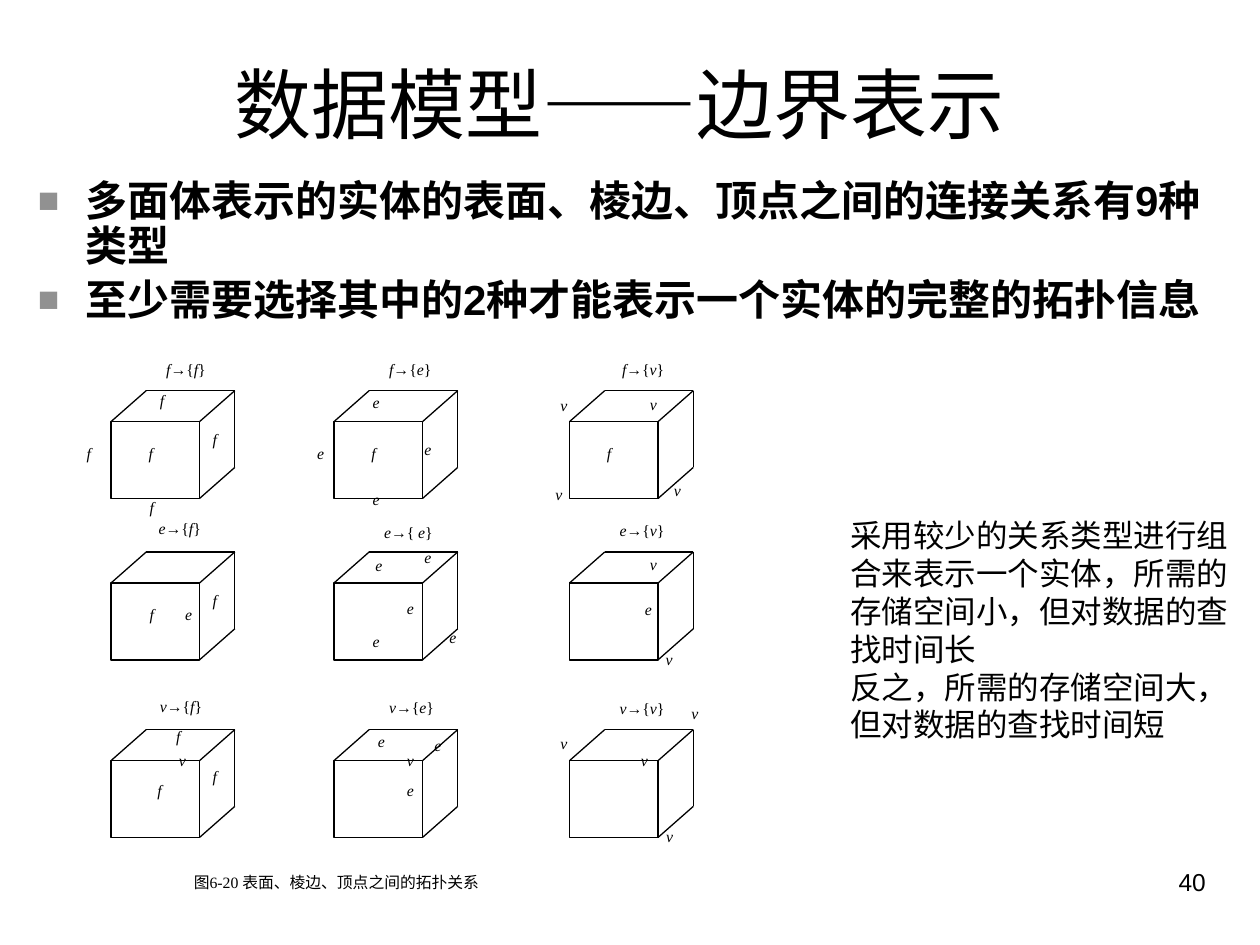
from lxml.etree import SubElement
from pptx import Presentation
from pptx.dml.color import RGBColor
from pptx.enum.shapes import MSO_CONNECTOR, MSO_SHAPE
from pptx.enum.text import MSO_ANCHOR, MSO_AUTO_SIZE, PP_ALIGN
from pptx.oxml.ns import qn
from pptx.util import Pt

COLORS = {"ink": "000000", "bullet": "919191"}
SANS, SERIF = "Arial", "Times New Roman"
COLUMNS = (63.4, 190.8, 325.4)
ROWS = (223.2, 315.4, 416.9)
FRONT_WIDTH, FRONT_HEIGHT = 50.6, 43.9
DEPTH_X, DEPTH_Y = 20.2, 17.8

RELATIONS = [
    [
        ("f", "f", (24.5, -20.9), [("f", 14.4, 26.6), ("f", 51.1, 18.7), ("f", 15.1, 57.6),
                                   ("f", -20.9, 26.6), ("f", 20.9, -3.6)]),
        ("f", "e", (24.5, -20.9), [("f", 14.4, 26.6), ("e", 44.6, 24.5), ("e", 15.1, 53.3),
                                   ("e", -16.6, 26.6), ("e", 15.1, -2.2)]),
        ("f", "v", (23, -20.9), [("f", 14.4, 26.6), ("v", 38.9, -1.4), ("v", 52.6, 48.2),
                                 ("v", -15.1, 50.4), ("v", -12.2, -0.7)]),
    ],
    [
        ("e", "f", (20.2, -22.3), [("e", 35.3, 26.6), ("f", 51.1, 18.7), ("f", 15.1, 26.6)]),
        ("e", " e", (21.6, -20.2), [("e", 34.6, 23), ("e", 59, 39.6), ("e", 15.1, 41.8),
                                    ("e", 16.6, -1.4), ("e", 44.6, -5.8)]),
        ("e", "v", (21.6, -21.6), [("e", 36, 23.8), ("v", 38.9, -2.2), ("v", 47.9, 52.6)]),
    ],
    [
        ("v", "f", (20.9, -22.3), [("v", 31.7, 8.6), ("f", 51.1, 18), ("f", 19.4, 25.9),
                                   ("f", 30.2, -5)]),
        ("v", "e", (24.5, -21.6), [("v", 34.6, 8.6), ("e", 50.4, 0), ("e", 34.6, 25.9),
                                   ("e", 18, -2.2)]),
        ("v", "v", (21.6, -20.9), [("v", 33.8, 8.6), ("v", 62.6, -18), ("v", 48.2, 51.8),
                                   ("v", -12.2, -1.4)]),
    ],
]


def place(shape, box):
    """Move and size a shape to a box given in points."""
    shape.left, shape.top, shape.width, shape.height = (Pt(value) for value in box)


def style(paragraph, size, name=SANS, bold=False, italic=None):
    """Set the font of a whole paragraph."""
    font = paragraph.font
    font.size, font.name, font.bold, font.italic = Pt(size), name, bold, italic
    font.color.rgb = RGBColor.from_string(COLORS["ink"])


def add_text(slide, box, lines, size, name=SANS, align=PP_ALIGN.LEFT, italic=None):
    """Add a wrapping text box whose lines are lists of (text, italic) runs."""
    shape = slide.shapes.add_textbox(*(Pt(value) for value in box))
    frame = shape.text_frame
    frame.word_wrap = True
    for index, runs in enumerate(lines):
        paragraph = frame.add_paragraph() if index else frame.paragraphs[0]
        paragraph.alignment = align
        style(paragraph, size, name, italic=italic)
        for text, slanted in runs:
            run = paragraph.add_run()
            run.text = text
            run.font.italic = slanted


def add_bullet(paragraph):
    """Give a paragraph a grey square bullet with a hanging indent."""
    properties = paragraph._p.get_or_add_pPr()
    properties.set("marL", str(Pt(27)))
    properties.set("indent", str(Pt(-27)))
    color = SubElement(properties, qn("a:buClr"))
    SubElement(color, qn("a:srgbClr"), val=COLORS["bullet"])
    SubElement(properties, qn("a:buSzPct"), val="85000")
    SubElement(properties, qn("a:buFont"), typeface=SANS)
    SubElement(properties, qn("a:buChar"), char="■")


def fill_title(slide, box, text):
    """Place the slide title."""
    title = slide.shapes.title
    place(title, box)
    frame = title.text_frame
    frame.text = text
    frame.auto_size = MSO_AUTO_SIZE.NONE
    frame.vertical_anchor = MSO_ANCHOR.MIDDLE
    frame.paragraphs[0].alignment = PP_ALIGN.CENTER
    style(frame.paragraphs[0], 44)


def fill_body(slide, box, items):
    """Place the bulleted list."""
    body = slide.placeholders[1]
    place(body, box)
    frame = body.text_frame
    frame.text = "\n".join(items)
    frame.auto_size = MSO_AUTO_SIZE.NONE
    for index, paragraph in enumerate(frame.paragraphs):
        paragraph.line_spacing = 0.9
        paragraph.space_before = Pt(4.8 if index else 0)
        add_bullet(paragraph)
        style(paragraph, 24, bold=True)


def add_edge(slide, start, end):
    """Draw one thin cube edge."""
    edge = slide.shapes.add_connector(
        MSO_CONNECTOR.STRAIGHT, *(Pt(value) for value in (*start, *end)))
    edge.line.color.rgb = RGBColor.from_string(COLORS["ink"])
    edge.line.width = Pt(0.75)
    SubElement(edge._element.spPr, qn("a:effectLst"))


def add_cube(slide, left, top):
    """Draw a cube whose bounding box starts at left and top."""
    front_top, front_right = top + DEPTH_Y, left + FRONT_WIDTH
    back_left, back_right = left + DEPTH_X, front_right + DEPTH_X
    back_bottom = top + FRONT_HEIGHT
    front = slide.shapes.add_shape(MSO_SHAPE.RECTANGLE, 0, 0, 0, 0)
    place(front, (left, front_top, FRONT_WIDTH, FRONT_HEIGHT))
    front.shadow.inherit = False
    front.fill.background()
    front.line.color.rgb = RGBColor.from_string(COLORS["ink"])
    front.line.width = Pt(0.75)
    add_edge(slide, (back_left, top), (back_right, top))
    add_edge(slide, (back_right, top), (front_right, front_top))
    add_edge(slide, (back_left, top), (left, front_top))
    add_edge(slide, (back_right, back_bottom), (front_right, front_top + FRONT_HEIGHT))
    add_edge(slide, (back_right, top), (back_right, back_bottom))


def add_relation(slide, left, top, relation):
    """Draw a cube with its relation heading and element labels."""
    source, target, (heading_x, heading_y), labels = relation
    add_cube(slide, left, top)
    for text, x, y in labels:
        add_text(slide, (left + x, top + y, 30, 26.6), [[(text, None)]], 9,
                 SERIF, PP_ALIGN.JUSTIFY, italic=True)
    heading = [(source + "→", True), ("{", False), (target, True), ("}", False)]
    add_text(slide, (left + heading_x, top + heading_y, 50, 26.6), [heading], 9,
             SERIF, PP_ALIGN.JUSTIFY)


def add_relation_grid(slide):
    """Draw the three by three grid of relations with its caption."""
    for top, row in zip(ROWS, RELATIONS):
        for left, relation in zip(COLUMNS, row):
            add_relation(slide, left, top, relation)
    add_text(slide, (103.7, 495.4, 213, 26.6),
             [[("图6-20 表面、棱边、顶点之间的拓扑关系", None)]], 9, SERIF, PP_ALIGN.JUSTIFY)


def main():
    """Build and save the presentation."""
    presentation = Presentation()
    presentation.slide_width, presentation.slide_height = Pt(720), Pt(540)
    slide = presentation.slides.add_slide(presentation.slide_layouts[1])
    fill_title(slide, (48, 28.8, 612, 60), "数据模型——边界表示")
    fill_body(slide, (14.4, 99.4, 692, 113.8), [
        "多面体表示的实体的表面、棱边、顶点之间的连接关系有9种类型",
        "至少需要选择其中的2种才能表示一个实体的完整的拓扑信息",
    ])
    add_relation_grid(slide)
    add_text(slide, (478.8, 291.6, 241.2, 136.8), [
        [("采用较少的关系类型进行组合来表示一个实体，所需的存储空间小，但对数据的查找时间长", None)],
        [("反之，所需的存储空间大，但对数据的查找时间短", None)],
    ], 18)
    add_text(slide, (516.2, 491.8, 180, 37.4), [[("40", None)]], 14, align=PP_ALIGN.RIGHT)
    presentation.save("out.pptx")


if __name__ == "__main__":
    main()
